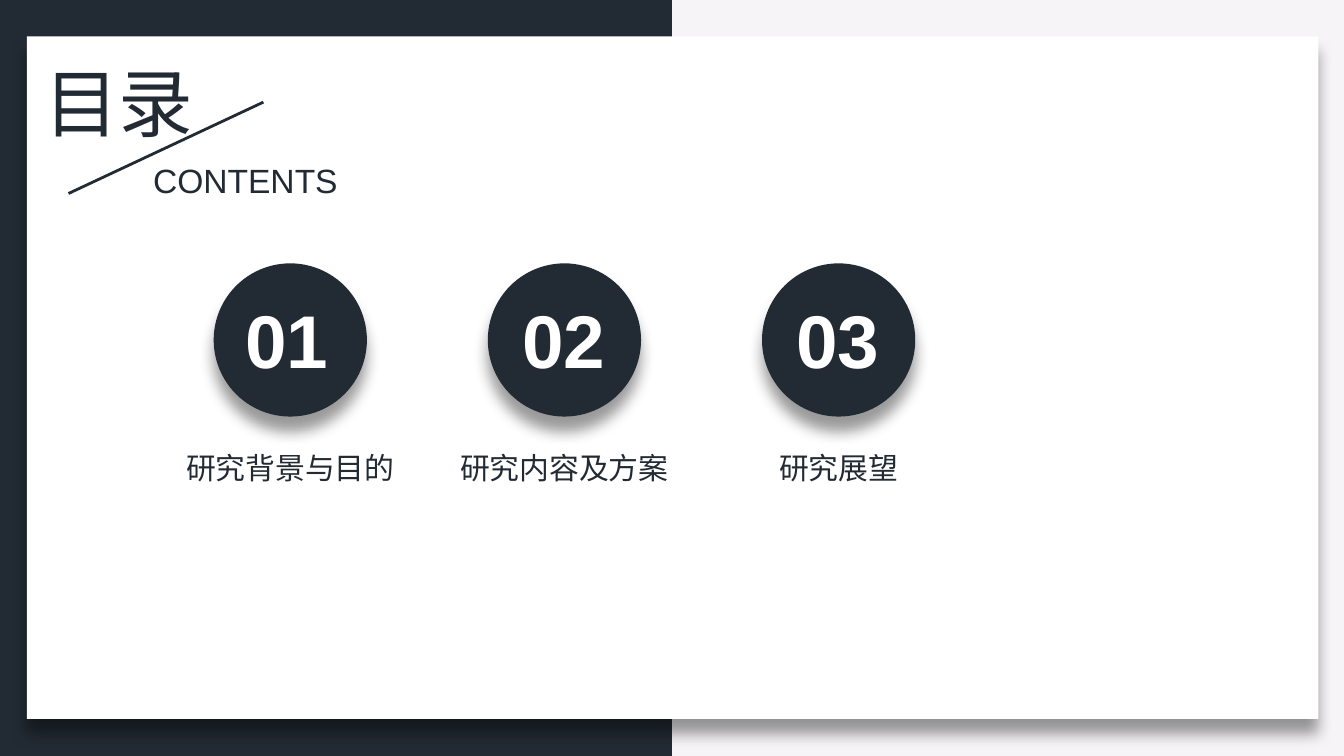
import pptx
import pptx.util
import pptx.oxml
from pptx.dml.color import RGBColor
from pptx.enum.shapes import MSO_CONNECTOR, MSO_SHAPE
from pptx.enum.text import MSO_ANCHOR, MSO_AUTO_SIZE, PP_ALIGN
from pptx.oxml.ns import nsdecls, qn
from pptx.util import Inches

DARK = RGBColor(0x22, 0x2B, 0x34)
PALE = RGBColor(0xF6, 0xF4, 0xF7)
WHITE = RGBColor(0xFF, 0xFF, 0xFF)
CJK = "Noto Sans CJK SC"

SHADOW = (
    f'<a:outerShdw {nsdecls("a")} blurRad="101600" dist="101600" dir="5400000" '
    'algn="t" rotWithShape="0"><a:srgbClr val="000000">'
    '<a:alpha val="40000"/></a:srgbClr></a:outerShdw>'
)

WIDTH = 10
HEIGHT = WIDTH * 9 / 16
SECTIONS = ["研究背景与目的", "研究内容及方案", "研究展望"]
FIRST_CENTER = 2.16
PITCH = 2.04
DIAMETER = 1.14


def add_block(shapes, kind, box, color, shadow=False):
    sp = shapes.add_shape(kind, *map(Inches, box))
    sp.fill.solid()
    sp.fill.fore_color.rgb = color
    sp.line.fill.background()
    sp.shadow.inherit = False
    if shadow:
        effects = sp._element.spPr.find(qn("a:effectLst"))
        effects.append(pptx.oxml.parse_xml(SHADOW))
    return sp


def write_text(sp, text, size, font, color, bold=False, align=PP_ALIGN.LEFT):
    tf = sp.text_frame
    frame_format = {
        "word_wrap": False,
        "auto_size": MSO_AUTO_SIZE.SHAPE_TO_FIT_TEXT,
        "vertical_anchor": MSO_ANCHOR.TOP,
    }
    for name, value in frame_format.items():
        setattr(tf, name, value)
    p = tf.paragraphs[0]
    p.alignment = align
    r = p.add_run()
    r.text = text
    font_format = {"size": pptx.util.Pt(size), "name": font, "bold": bold}
    for name, value in font_format.items():
        setattr(r.font, name, value)
    r.font.color.rgb = color
    latin = r.font._element.find(qn("a:latin"))
    latin.addnext(pptx.oxml.parse_xml(f'<a:ea {nsdecls("a")} typeface="{font}"/>'))


def add_text(shapes, box, *args, **kwargs):
    write_text(shapes.add_textbox(*map(Inches, box)), *args, **kwargs)


def add_title(s, box, text):
    title = s.shapes.title
    for name, value in zip(("left", "top", "width", "height"), box):
        setattr(title, name, Inches(value))
    write_text(title, text, 40, "Calibri", DARK)
    s.shapes._spTree.append(title._element)


def add_line(shapes, start, end):
    line = shapes.add_connector(MSO_CONNECTOR.STRAIGHT, *map(Inches, start + end))
    line.line.color.rgb = DARK
    line.line.width = pptx.util.Pt(1.5)
    line._element.spPr.append(pptx.oxml.parse_xml(f'<a:effectLst {nsdecls("a")}/>'))


def add_section(s, number, label):
    center = FIRST_CENTER + (number - 1) * PITCH
    shapes = s.shapes.add_group_shape().shapes
    circle = (center - DIAMETER / 2, 1.96, DIAMETER, DIAMETER)
    add_block(shapes, MSO_SHAPE.OVAL, circle, DARK, shadow=True)
    width = 0.2 + len(label) * 16 / 72
    add_text(shapes, (center - width / 2, 3.3, width, 0.37), label, 16, CJK, DARK,
             align=PP_ALIGN.CENTER)
    number_left = center - (0.44 if number == 1 else 0.42)
    add_text(shapes, (number_left, 2.14, 0.83, 0.77), f"{number:02d}", 40, "Arial",
             WHITE, bold=True, align=PP_ALIGN.CENTER)


def main():
    prs = pptx.Presentation()
    prs.slide_width = Inches(WIDTH)
    prs.slide_height = Inches(HEIGHT)
    s = prs.slides.add_slide(prs.slide_layouts[5])
    s.background.fill.solid()
    s.background.fill.fore_color.rgb = PALE

    add_block(s.shapes, MSO_SHAPE.RECTANGLE, (0, 0, WIDTH / 2, HEIGHT), DARK)
    add_block(s.shapes, MSO_SHAPE.RECTANGLE, (0.2, 0.27, 9.61, 5.08), WHITE, shadow=True)
    add_title(s, (0.23, 0.37, 1.32, 0.77), "目录")
    add_line(s.shapes, (1.96, 0.76), (0.51, 1.44))
    add_text(s.shapes, (1.04, 1.14, 1.59, 0.4), "CONTENTS", 18, "Arial", DARK)
    for number, label in enumerate(SECTIONS, 1):
        add_section(s, number, label)

    prs.save("out.pptx")


if __name__ == "__main__":
    main()
